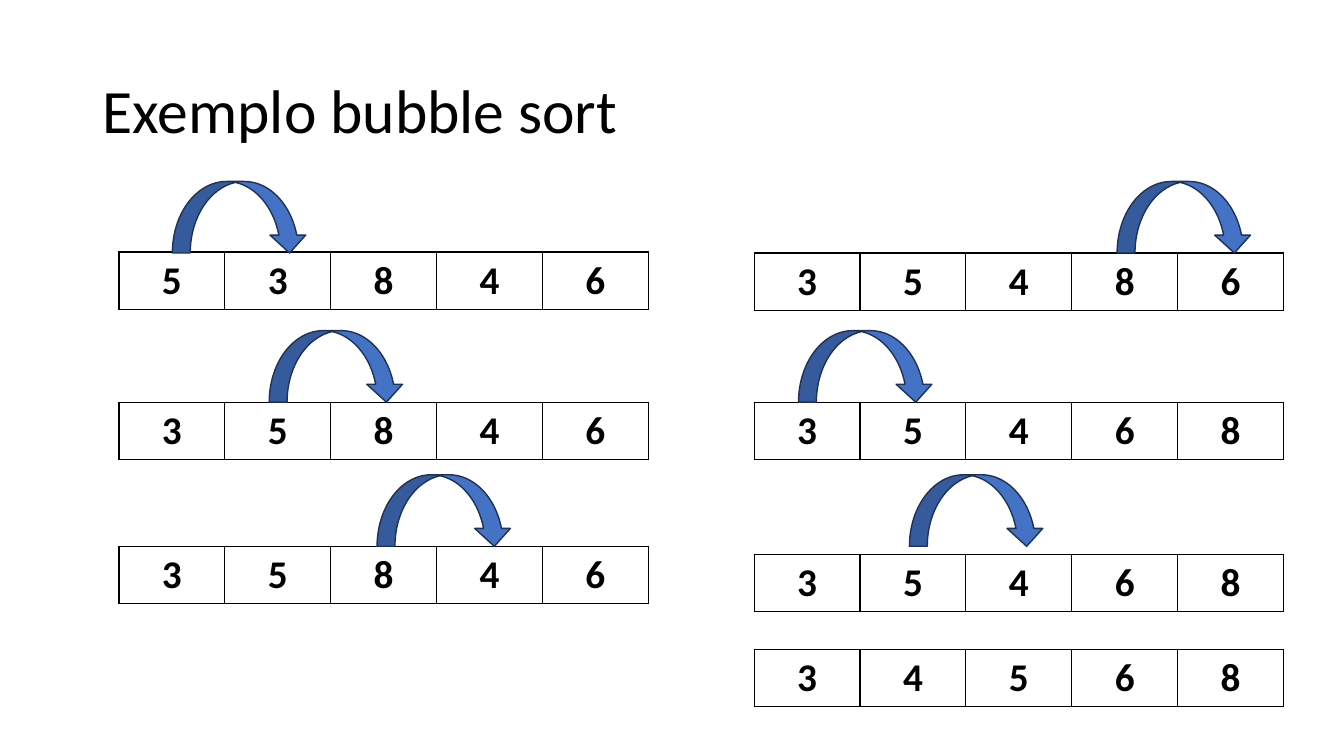
from dataclasses import dataclass

from lxml import etree
from pptx import Presentation, util as u
from pptx.dml.color import RGBColor
from pptx.enum import shapes, text
from pptx.oxml import ns

PX = 9144  # EMU per px, 100 px to the inch


@dataclass(frozen=True)
class Theme:
    font: str = "Calibri"
    ink: str = "000000"
    arrow: str = "4472C4"
    arrow_edge: str = "1E3256"
    title_size: int = 44
    cell_size: int = 28
    line: int = 1


def px(*lengths):
    return [u.Emu(length * PX) for length in lengths]


def apply(target, values):
    for name, value in values.items():
        setattr(target, name, value)


class Slide:
    def __init__(self, deck, theme):
        self.page = deck.slides.add_slide(deck.slide_layouts[6])
        self.theme = theme

    def add_words(self, para, words, size, bold=False, **layout):
        apply(para, layout)
        span = para.add_run()
        span.text = words
        span.font.color.rgb = RGBColor.from_string(self.theme.ink)
        apply(span.font, {"name": self.theme.font, "size": u.Pt(size), "bold": bold})

    def title(self, words, *place):
        frame = self.page.shapes.add_textbox(*px(*place)).text_frame
        apply(frame, {"word_wrap": True, "vertical_anchor": text.MSO_ANCHOR.MIDDLE})
        self.add_words(frame.paragraphs[0], words, self.theme.title_size, line_spacing=0.9)

    def border(self, cell):
        props = cell._tc.get_or_add_tcPr()
        for index, side in enumerate(("lnL", "lnR", "lnT", "lnB")):
            line = etree.Element(ns.qn(f"a:{side}"), w=str(u.Pt(self.theme.line)))
            fill = etree.SubElement(line, ns.qn("a:solidFill"))
            etree.SubElement(fill, ns.qn("a:srgbClr"), val=self.theme.ink)
            props.insert(index, line)

    def array(self, numbers, left, top, cell_width, height):
        place = px(left, top, cell_width * len(numbers), height)
        table = self.page.shapes.add_table(1, len(numbers), *place).table
        apply(table, {"first_row": False, "horz_banding": False})
        for column, number in enumerate(numbers):
            table.columns[column].width = px(cell_width)[0]
            cell = table.cell(0, column)
            cell.fill.background()
            self.border(cell)
            self.add_words(cell.text_frame.paragraphs[0], number, self.theme.cell_size,
                           bold=True, alignment=text.PP_ALIGN.CENTER)

    def swap_arrow(self, *place):
        arrow = self.page.shapes.add_shape(shapes.MSO_SHAPE.CURVED_DOWN_ARROW, *px(*place))
        arrow.shadow.inherit = False
        arrow.fill.solid()
        arrow.fill.fore_color.rgb = RGBColor.from_string(self.theme.arrow)
        arrow.line.color.rgb = RGBColor.from_string(self.theme.arrow_edge)
        arrow.line.width = u.Pt(self.theme.line)


# Each step: numbers, top of the array
LEFT_STEPS = [("53846", 250), ("35846", 399), ("35846", 542)]
RIGHT_STEPS = [("35486", 251), ("35468", 399), ("35468", 550), ("34568", 644)]

# Arrows by row: top, left edges
ARROWS = {180: (171, 1108), 328: (267, 792), 471: (374, 902)}


def main():
    deck = Presentation()
    deck.slide_width, deck.slide_height = px(1333, 750)
    slide = Slide(deck, Theme())

    # Heading
    slide.title("Exemplo bubble sort", 92, 40, 1150, 145)

    # Array after each step, in two columns
    for left, steps in ((118, LEFT_STEPS), (748, RIGHT_STEPS)):
        for numbers, top in steps:
            slide.array(numbers, left, top, 105, 57)

    # Arrows over the compared pairs
    for top, lefts in ARROWS.items():
        for left in lefts:
            slide.swap_arrow(left, top, 134, 71)

    deck.save("out.pptx")


if __name__ == "__main__":
    main()
